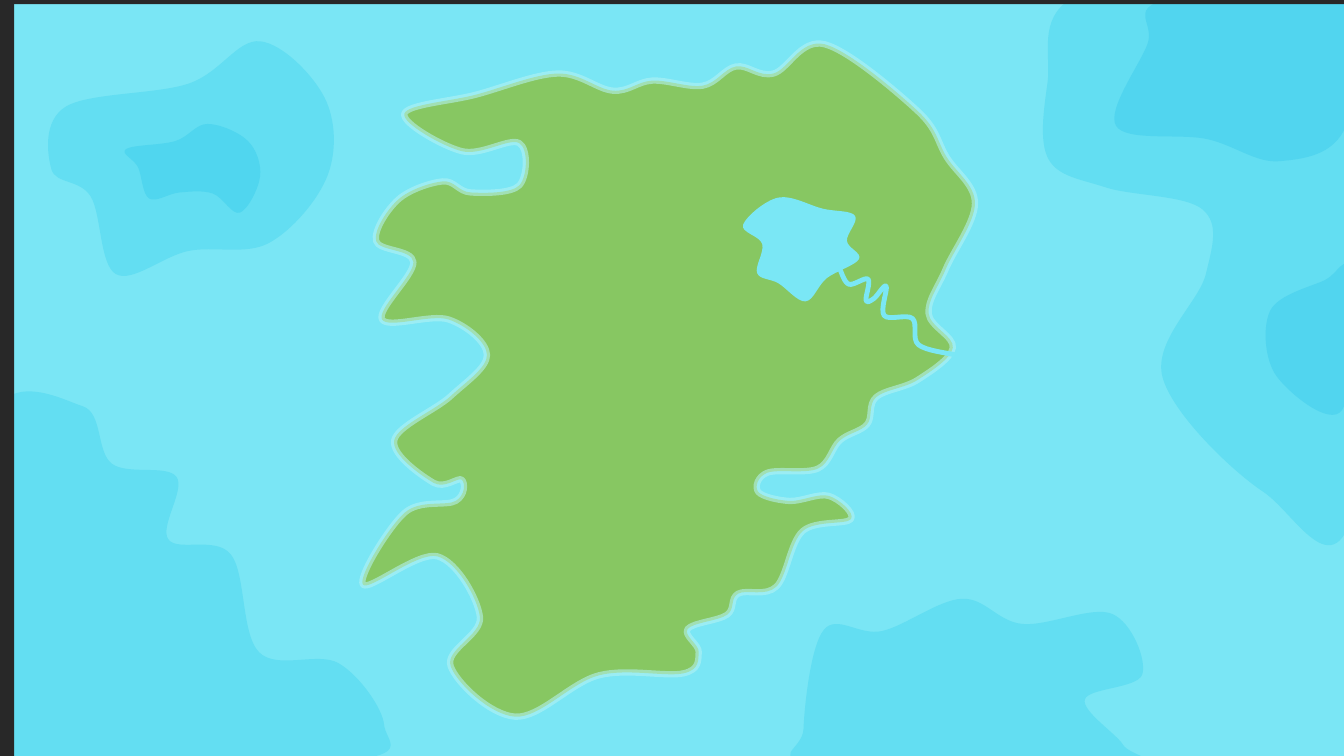
from dataclasses import dataclass
from typing import Optional, Union

from lxml.etree import SubElement
from pptx import Presentation
from pptx.dml.color import RGBColor
from pptx.enum.shapes import MSO_SHAPE
from pptx.oxml.ns import qn
from pptx.shapes.shapetree import GroupShapes, SlideShapes
from pptx.util import Inches, Pt

COLORS = {
    "sea": "7AE6F5", "shelf": "63DEF2", "deep": "51D5EF", "trench": "50D6EF",
    "land": "87C762", "shore": "B5F3F4", "fresh water": "7AE7F5", "frame": "282828",
}
Point = tuple[float, float]
Curve = tuple[Point, Point, Point, Point]
Shapes = Union[SlideShapes, GroupShapes]


@dataclass
class Block:
    box: tuple[float, float, float, float]
    fill: str
    rotation: float = 0


@dataclass
class Outline:
    """A smooth curve through points: closed if filled, otherwise open."""
    points: list[Point]
    fill: Optional[str] = None
    line: Optional[str] = None
    line_width: float = 0
    line_opacity: int = 100


def rgb(name: str) -> RGBColor:
    return RGBColor.from_string(COLORS[name])


def draw_block(shapes: Shapes, block: Block) -> None:
    rectangle = shapes.add_shape(MSO_SHAPE.RECTANGLE, *map(Inches, block.box))
    rectangle.shadow.inherit = False
    rectangle.fill.solid()
    rectangle.fill.fore_color.rgb = rgb(block.fill)
    rectangle.line.fill.background()
    rectangle.rotation = block.rotation


def smooth_curves(points: list[Point], closed: bool) -> list[Curve]:
    """Each tangent is a sixth of the way between a point's neighbours."""
    if closed:
        chain = [points[-1], *points, *points[:2]]
    else:
        chain = [points[0], *points, points[-1]]
    curves = []
    for before, start, end, after in zip(chain, chain[1:], chain[2:], chain[3:]):
        leave = (start[0] + (end[0] - before[0]) / 6, start[1] + (end[1] - before[1]) / 6)
        arrive = (end[0] - (after[0] - start[0]) / 6, end[1] - (after[1] - start[1]) / 6)
        curves.append((start, leave, arrive, end))
    return curves


def extent(curves: list[Curve], axis: int, steps: int = 20) -> tuple[float, float]:
    """Lowest and highest value that the curves reach along one axis."""
    reached = []
    for curve in curves:
        a, b, c, d = (point[axis] for point in curve)
        for t in (step / steps for step in range(steps + 1)):
            u = 1 - t
            reached.append(a * u**3 + 3 * b * t * u**2 + 3 * c * t**2 * u + d * t**3)
    return min(reached), max(reached)


def draw_outline(shapes: Shapes, outline: Outline) -> None:
    closed = outline.fill is not None
    curves = smooth_curves(outline.points, closed)
    (left, right), (top, bottom) = extent(curves, 0), extent(curves, 1)
    ends = [(Inches(x), Inches(y)) for *_, (x, y) in curves]
    first_x, first_y = outline.points[0]
    builder = shapes.build_freeform(Inches(first_x), Inches(first_y), scale=1.0)
    builder.add_line_segments(ends, close=closed)
    area = builder.convert_to_shape()
    area.left, area.top = Inches(left), Inches(top)
    area.width, area.height = Inches(right - left), Inches(bottom - top)

    # Bend the straight segments into curves
    track = area.element.xpath(".//a:path")[0]
    track.set("w", str(area.width))
    track.set("h", str(area.height))
    start = track.find(qn("a:moveTo")).find(qn("a:pt"))
    start.set("x", str(Inches(first_x - left)))
    start.set("y", str(Inches(first_y - top)))
    for segment, curve in zip(track.findall(qn("a:lnTo")), curves):
        bend = SubElement(track, qn("a:cubicBezTo"))
        for x, y in curve[1:]:
            SubElement(bend, qn("a:pt"), x=str(Inches(x - left)), y=str(Inches(y - top)))
        track.replace(segment, bend)

    # Fill and edge
    area.shadow.inherit = False
    if outline.fill:
        area.fill.solid()
        area.fill.fore_color.rgb = rgb(outline.fill)
    else:
        area.fill.background()
    if not outline.line:
        area.line.fill.background()
        return
    area.line.color.rgb = rgb(outline.line)
    area.line.width = Pt(outline.line_width)
    if outline.line_opacity < 100:
        tint = area.element.xpath(".//a:ln//a:srgbClr")[0]
        SubElement(tint, qn("a:alpha"), val=str(outline.line_opacity * 1000))


SEA = Block((0.14, 0.04, 13.19, 7.5), "sea")
FRAME = [
    Block((-0.93, -0.96, 16.02, 1), "frame"),
    Block((-8.13, 2.31, 16.02, 0.52), "frame", 90),
]

# Island with its lake and river
LAND = Outline([
    (5.94, 6.7), (6.78, 6.68), (6.93, 6.47), (6.82, 6.24), (7.21, 6.1), (7.32, 5.89),
    (7.7, 5.82), (7.96, 5.27), (8.44, 5.15), (8.22, 4.92), (7.83, 4.97), (7.52, 4.88),
    (7.61, 4.69), (8.11, 4.65), (8.33, 4.37), (8.6, 4.21), (8.69, 3.94), (9.1, 3.77),
    (9.45, 3.45), (9.21, 3.11), (9.38, 2.67), (9.67, 2.02), (9.39, 1.56), (9.1, 1.1),
    (8.18, 0.44), (7.67, 0.73), (7.3, 0.66), (6.97, 0.85), (6.47, 0.8), (6.08, 0.9),
    (5.53, 0.73), (4.72, 0.94), (4.01, 1.13), (4.58, 1.5), (5.15, 1.42), (5.15, 1.84),
    (4.67, 1.91), (4.39, 1.8), (3.95, 1.98), (3.73, 2.39), (4.1, 2.6), (3.79, 3.17),
    (4.45, 3.17), (4.83, 3.52), (4.47, 3.93), (3.91, 4.37), (4.3, 4.79), (4.58, 4.76),
    (4.52, 4.97), (4.01, 5.09), (3.6, 5.8), (4.34, 5.52), (4.76, 6.12), (4.47, 6.61),
    (5.11, 7.11)], "land", "shore", 4.5, 57)
RIVER = Outline([
    (9.47, 3.52), (9.11, 3.42), (9.05, 3.16), (8.77, 3.13), (8.79, 2.84), (8.67, 2.96),
    (8.59, 2.98), (8.61, 2.77), (8.42, 2.82), (8.33, 2.67)],
    line="fresh water", line_width=3.5)
LAKE = Outline([
    (8.2, 2.76), (7.99, 2.99), (7.72, 2.81), (7.51, 2.71), (7.56, 2.42), (7.37, 2.23),
    (7.72, 1.96), (8.16, 2.07), (8.48, 2.14), (8.4, 2.39), (8.52, 2.57)], "fresh water")

# Deeper water, west to east
DEPTHS = [
    Outline([
        (-0.08, 7.49), (-0.1, 4.22), (0.82, 4.03), (1.11, 4.6), (1.75, 4.73), (1.67, 5.35),
        (2.29, 5.5), (2.57, 6.47), (3.36, 6.58), (3.81, 7.19), (3.44, 7.54)], "shelf"),
    Outline([
        (0.9, 1.95), (0.51, 1.68), (0.65, 1.06), (1.87, 0.83), (2.58, 0.41), (3.22, 0.97),
        (3.25, 1.74), (2.67, 2.41), (1.87, 2.49), (1.15, 2.72)], "shelf"),
    Outline([
        (8.12, 7.57), (7.97, 7.23), (8.17, 6.25), (8.75, 6.26), (9.54, 5.94), (10.14, 6.19),
        (11.03, 6.09), (11.33, 6.69), (10.76, 6.94), (11.14, 7.39), (11.14, 7.59)], "shelf"),
    Outline([
        (13.44, 5.01), (12.53, 4.88), (11.53, 3.74), (11.96, 2.72), (11.93, 2.08),
        (10.97, 1.86), (10.4, 1.58), (10.39, 0.82), (10.62, -0.01), (12.36, -0.39),
        (13.74, -0.33)], "shelf"),
    Outline([
        (13.35, 1.25), (12.69, 1.6), (11.97, 1.38), (11.07, 1.25), (11.38, 0.44),
        (11.54, 0), (13.43, -0.19)], "deep"),
    Outline([
        (13.38, 2.71), (13.31, 4.07), (12.66, 3.73), (12.6, 3.08), (13.14, 2.78)], "deep"),
]
TRENCH = Outline([
    (1.78, 1.91), (1.48, 1.97), (1.37, 1.66), (1.25, 1.48), (1.74, 1.4), (2.06, 1.23),
    (2.46, 1.4), (2.58, 1.75), (2.38, 2.11), (2.11, 1.92)], "trench")


def main() -> None:
    deck = Presentation()
    deck.slide_width, deck.slide_height = Inches(13.33), Inches(7.5)
    ocean = deck.slides.add_slide(deck.slide_layouts[6]).shapes
    draw_block(ocean, SEA)
    island = ocean.add_group_shape().shapes
    for part in (LAND, RIVER, LAKE):
        draw_outline(island, part)
    for depth in DEPTHS:
        draw_outline(ocean, depth)
    for bar in FRAME:
        draw_block(ocean, bar)
    draw_outline(ocean, TRENCH)
    deck.save("out.pptx")


if __name__ == "__main__":
    main()
